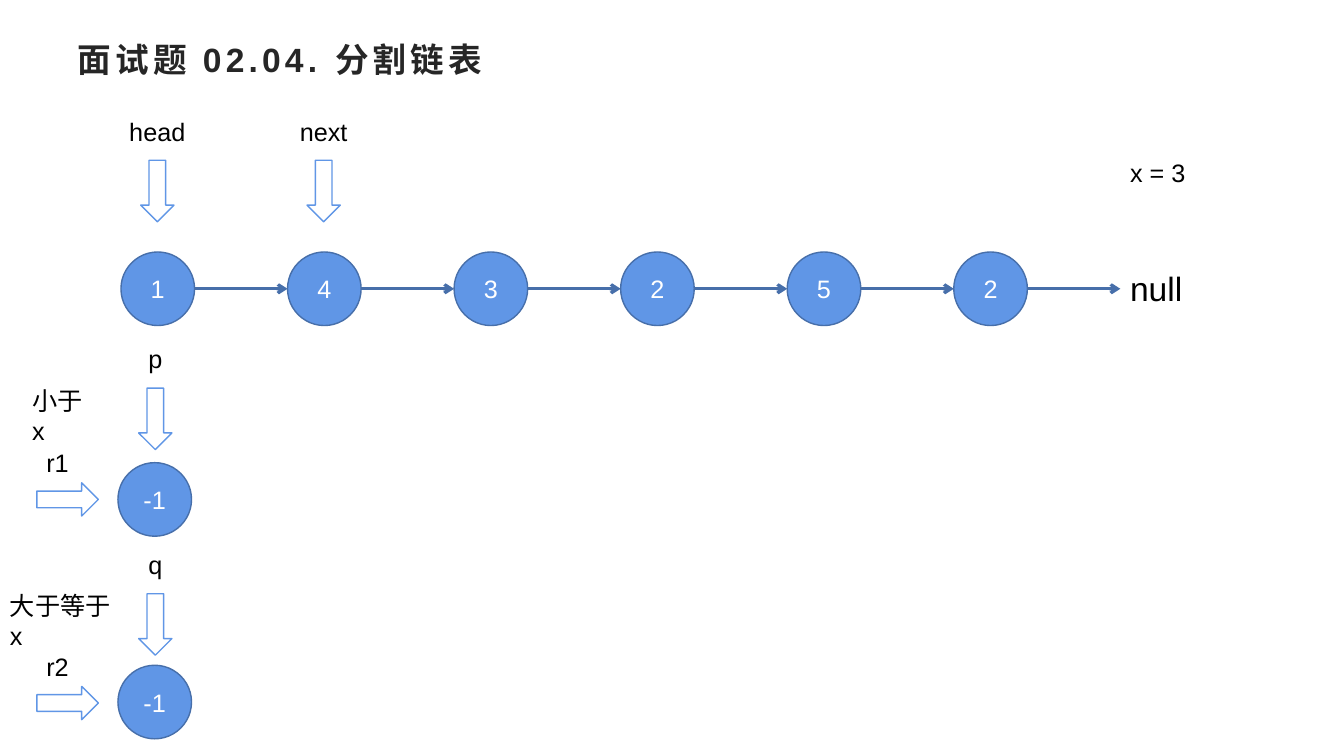
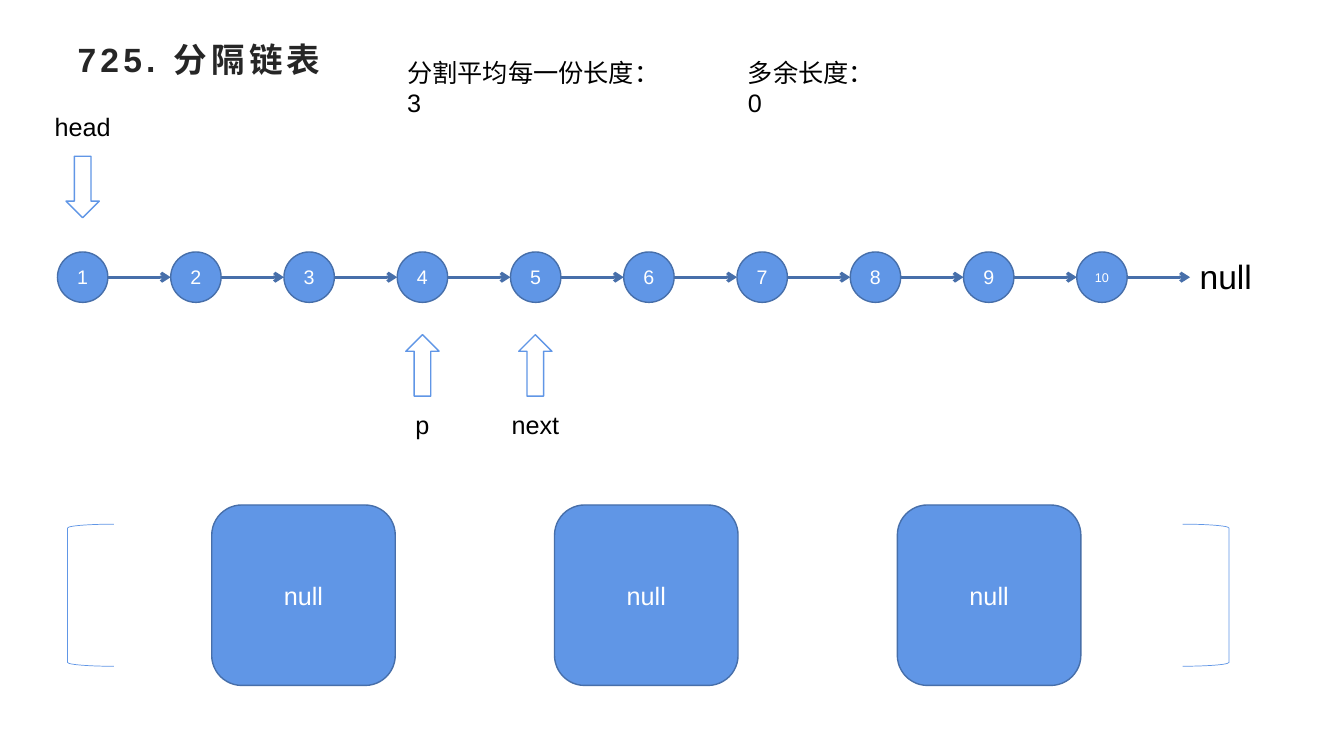
from dataclasses import dataclass

from lxml.etree import SubElement
from pptx import Presentation
from pptx.dml.color import RGBColor
from pptx.enum.shapes import MSO_CONNECTOR, MSO_SHAPE
from pptx.enum.text import MSO_ANCHOR, MSO_AUTO_SIZE, PP_ALIGN
from pptx.oxml.ns import qn
from pptx.util import Inches, Pt

FONT = "Arial"
BLUE = "6096E6"
DARK_BLUE = "476FAA"
WHITE = "FFFFFF"
BLACK = "000000"
TITLE_COLOR = "262626"
ARROW_WIDTH, ARROW_HEIGHT = 0.33, 0.61
LABEL_WIDTH, LABEL_HEIGHT = 0.79, 0.4


@dataclass(frozen=True)
class Direction:
    """Turn of a pointer arrow and the place of its label relative to it."""
    rotation: float
    label_dx: float
    label_dy: float


UP = Direction(0, 0, 0.69)
DOWN = Direction(180, 0, -0.49)
RIGHT = Direction(90, -0.1, -0.26)


@dataclass(frozen=True)
class Pointer:
    label: str
    center: float
    top: float
    direction: Direction


@dataclass(frozen=True)
class Node:
    text: str
    left: float
    top: float
    diameter: float
    size: float = 18


@dataclass(frozen=True)
class Note:
    text: str
    left: float
    top: float
    width: float
    size: float = 18


def rgb(color):
    return RGBColor.from_string(color)


def write(frame, text, *, size=18, color=BLACK, bold=False,
          align=PP_ALIGN.LEFT, anchor=MSO_ANCHOR.TOP, spacing=None):
    """Fill a text frame with one formatted span; spacing is in points."""
    frame.word_wrap = True
    frame.auto_size = MSO_AUTO_SIZE.NONE
    frame.vertical_anchor = anchor
    para = frame.paragraphs[0]
    para.alignment = align
    span = para.add_run()
    span.text = text
    span.font.name = FONT
    span.font.size = Pt(size)
    span.font.bold = bold
    span.font.color.rgb = rgb(color)
    if spacing is not None:
        span.font._element.set("spc", str(int(spacing * 100)))


def add_page(deck, title: str):
    page = deck.slides.add_slide(deck.slide_layouts[5])
    box = page.shapes.title
    box.left, box.top = Inches(0.67), Inches(0.2)
    box.width, box.height = Inches(12), Inches(0.77)
    write(box.text_frame, title, size=24, color=TITLE_COLOR, bold=True,
          anchor=MSO_ANCHOR.MIDDLE, spacing=3)
    return page


def add_text(page, text: str, left: float, top: float, width: float,
             height: float = LABEL_HEIGHT, **text_format):
    box = page.shapes.add_textbox(
        Inches(left), Inches(top), Inches(width), Inches(height))
    write(box.text_frame, text, **text_format)


def add_note(page, note: Note):
    add_text(page, note.text, note.left, note.top, note.width, size=note.size)


def add_figure(page, kind, left: float, top: float, width: float,
               height: float, *, fill=None, line=DARK_BLUE, line_width=1.0):
    figure = page.shapes.add_shape(
        kind, Inches(left), Inches(top), Inches(width), Inches(height))
    figure.shadow.inherit = False
    if fill is None:
        figure.fill.background()
    else:
        figure.fill.solid()
        figure.fill.fore_color.rgb = rgb(fill)
    figure.line.color.rgb = rgb(line)
    figure.line.width = Pt(line_width)
    return figure


def add_node(page, node: Node):
    circle = add_figure(page, MSO_SHAPE.OVAL, node.left, node.top,
                        node.diameter, node.diameter, fill=BLUE)
    write(circle.text_frame, node.text, size=node.size, color=WHITE,
          align=PP_ALIGN.CENTER, anchor=MSO_ANCHOR.MIDDLE)


def add_link(page, start: float, end: float, height: float):
    link = page.shapes.add_connector(
        MSO_CONNECTOR.STRAIGHT, Inches(start), Inches(height),
        Inches(end), Inches(height))
    link.line.color.rgb = rgb(DARK_BLUE)
    link.line.width = Pt(2.25)
    SubElement(link.line._get_or_add_ln(), qn("a:tailEnd"), type="arrow")
    SubElement(link._element.spPr, qn("a:effectLst"))


def add_chain(page, values: list[str], first: float, last: float,
              diameter: float, size: float):
    """Draw linked nodes with left edges evenly spaced from first to last."""
    top = 2.5
    step = (last - first) / (len(values) - 1)
    for index, value in enumerate(values):
        left = first + index * step
        node_size = size if len(value) == 1 else 9
        add_node(page, Node(value, left, top, diameter, node_size))
        add_link(page, left + diameter, left + step, top + diameter / 2)


def add_pointer(page, pointer: Pointer):
    direction = pointer.direction
    arrow = add_figure(page, MSO_SHAPE.UP_ARROW,
                       pointer.center - ARROW_WIDTH / 2, pointer.top,
                       ARROW_WIDTH, ARROW_HEIGHT, fill=WHITE, line=BLUE)
    arrow.rotation = direction.rotation
    add_text(page, pointer.label,
             pointer.center + direction.label_dx - LABEL_WIDTH / 2,
             pointer.top + direction.label_dy, LABEL_WIDTH,
             align=PP_ALIGN.CENTER)


def build_partition(deck):
    page = add_page(deck, "面试题 02.04. 分割链表")
    add_chain(page, list("143252"), 1.2, 9.46, 0.73, 18)
    for top in (4.59, 6.6):
        add_node(page, Node("-1", 1.17, top, 0.73))
    for pointer in (
        Pointer("head", 1.56, 1.59, DOWN),
        Pointer("next", 3.21, 1.59, DOWN),
        Pointer("p", 1.54, 3.85, DOWN),
        Pointer("q", 1.54, 5.89, DOWN),
        Pointer("r1", 0.67, 4.65, RIGHT),
        Pointer("r2", 0.67, 6.67, RIGHT),
    ):
        add_pointer(page, pointer)
    for note in (
        Note("null", 11.11, 2.61, 1.21, 24),
        Note("x = 3", 11.11, 1.51, 1),
        Note("小于x", 0.22, 3.77, 0.78),
        Note("大于等于x", 0, 5.81, 1.27),
    ):
        add_note(page, note)


def build_split(deck):
    page = add_page(deck, "725. 分隔链表")
    add_chain(page, [str(value) for value in range(1, 11)],
              0.57, 10.68, 0.5, 14)
    for pointer in (
        Pointer("head", 0.82, 1.55, DOWN),
        Pointer("p", 4.19, 3.32, UP),
        Pointer("next", 5.31, 3.32, UP),
    ):
        add_pointer(page, pointer)
    for note in (
        Note("null", 11.8, 2.49, 1, 24),
        Note("分割平均每一份长度：3", 3.94, 0.52, 2.79),
        Note("多余长度：0", 7.32, 0.52, 1.54),
    ):
        add_note(page, note)

    for kind, left in ((MSO_SHAPE.LEFT_BRACKET, 0.67),
                       (MSO_SHAPE.RIGHT_BRACKET, 11.73)):
        add_figure(page, kind, left, 5.2, 0.46, 1.41,
                   line=BLUE, line_width=0.5)
    for index in range(3):
        slot = add_figure(page, MSO_SHAPE.ROUNDED_RECTANGLE,
                          2.1 + index * 3.4, 5.01, 1.82, 1.79, fill=BLUE)
        write(slot.text_frame, "null", color=WHITE,
              align=PP_ALIGN.CENTER, anchor=MSO_ANCHOR.MIDDLE)


def main():
    deck = Presentation()
    deck.slide_width, deck.slide_height = Inches(13.33), Inches(7.5)
    build_partition(deck)
    build_split(deck)
    deck.save("out.pptx")


if __name__ == "__main__":
    main()
